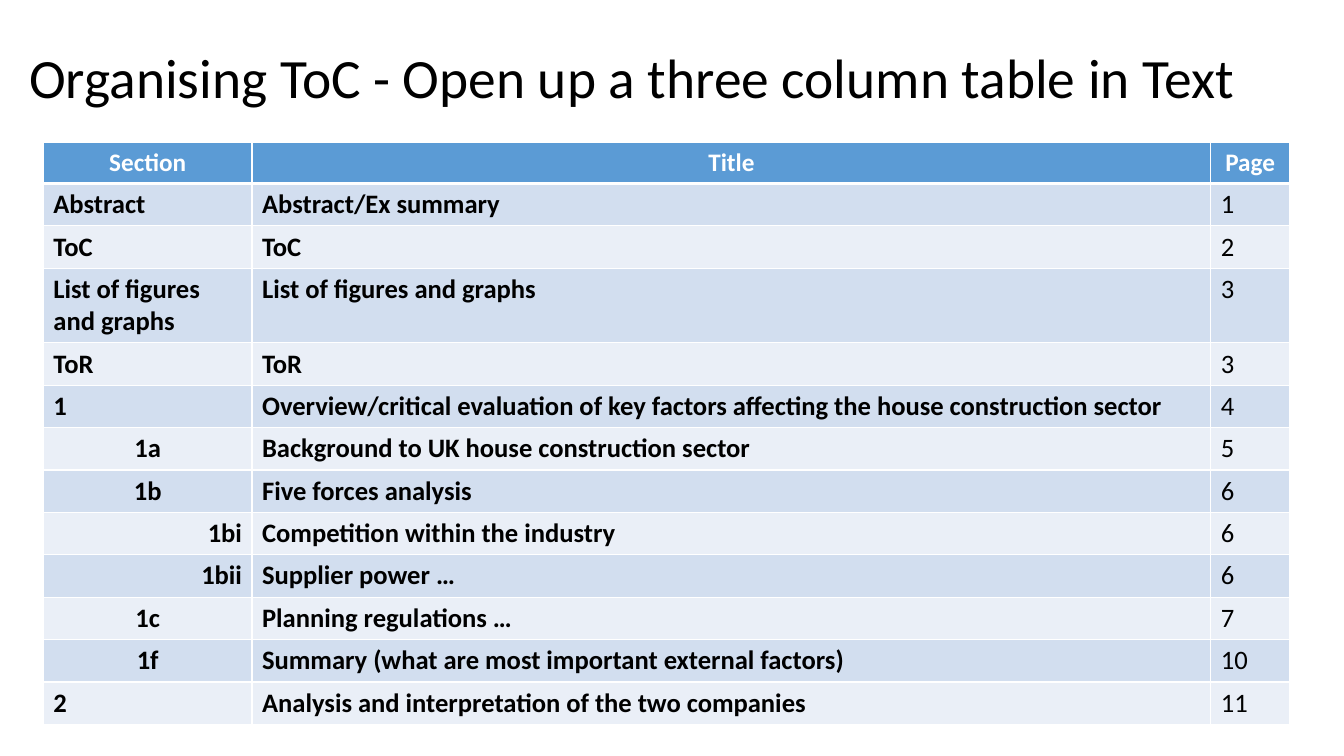
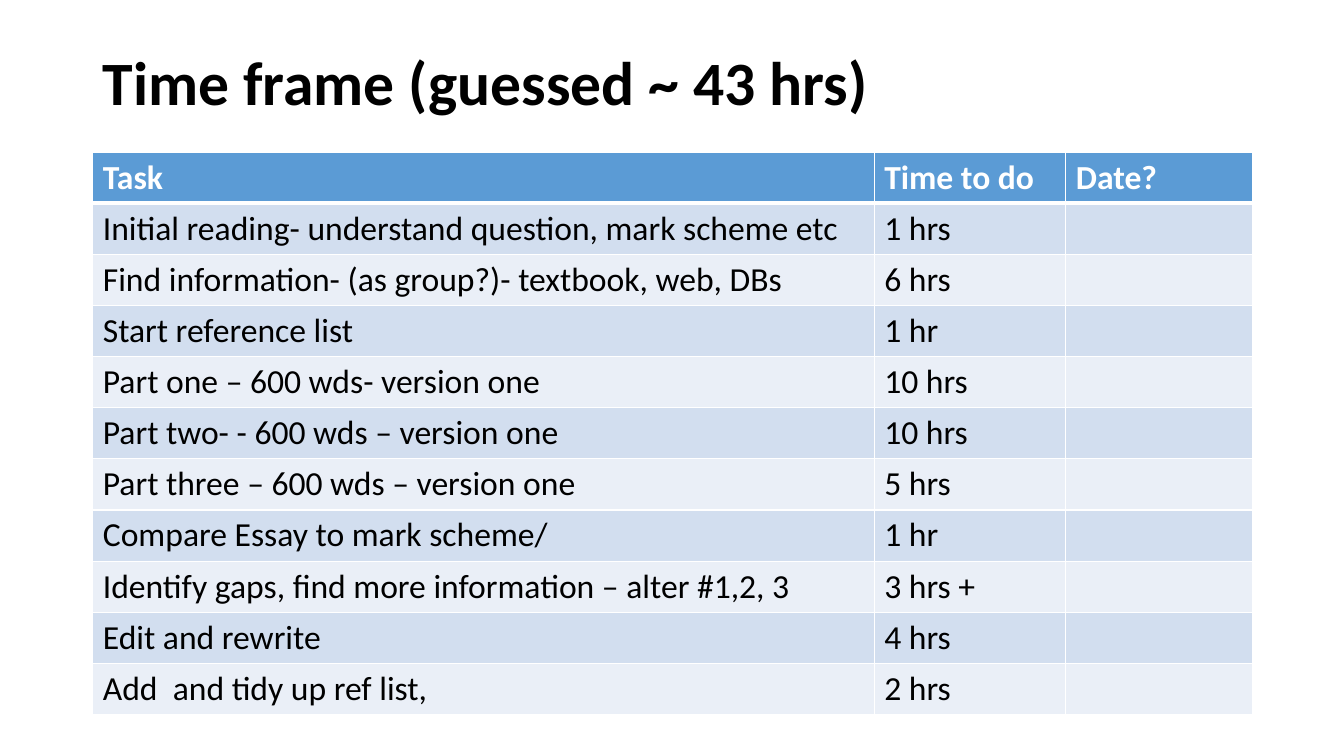
from lxml.etree import SubElement
from pptx import Presentation
from pptx.dml.color import RGBColor
from pptx.enum.text import MSO_ANCHOR, MSO_AUTO_SIZE, PP_ALIGN
from pptx.oxml import parse_xml
from pptx.oxml.ns import nsdecls, qn
from pptx.util import Emu, Pt

SECTIONS = [
    ("Section", "Title", "Page"),
    ("Abstract", "Abstract/Ex summary", "1"),
    ("ToC", "ToC", "2"),
    ("List of figures and graphs", "List of figures and graphs", "3"),
    ("ToR", "ToR", "3"),
    ("1", "Overview/critical evaluation of key factors affecting the house construction sector", "4"),
    ("1a", "Background to UK house construction sector", "5"),
    ("1b", "Five forces analysis", "6"),
    ("1bi", "Competition within the industry", "6"),
    ("1bii", "Supplier power …", "6"),
    ("1c", "Planning regulations …", "7"),
    ("1f", "Summary (what are most important external factors)", "10"),
    ("2", "Analysis and interpretation of the two companies", "11"),
]

TASKS = [
    ("Task", "Time to do", "Date?"),
    ("Initial reading- understand question, mark scheme etc", "1 hrs", ""),
    ("Find information- (as group?)- textbook, web, DBs", "6 hrs", ""),
    ("Start reference list", "1 hr", ""),
    ("Part one – 600 wds- version one", "10 hrs", ""),
    ("Part two- - 600 wds – version one", "10 hrs", ""),
    ("Part three – 600 wds – version one", "5 hrs", ""),
    ("Compare Essay to mark scheme/", "1 hr", ""),
    ("Identify gaps, find more information – alter #1,2, 3", "3 hrs +", ""),
    ("Edit and rewrite", "4 hrs", ""),
    ("Add  and tidy up ref list,", "2 hrs", ""),
]


def px(length):
    """Turn px, 100 to the inch, into EMU."""
    return Emu(length * 9144)


def color(value):
    """Turn a hex string into a colour."""
    return RGBColor.from_string(value)


def section_align(code):
    """Align numbered sections by their depth."""
    if not code[0].isdigit() or len(code) == 1:
        return PP_ALIGN.LEFT
    return PP_ALIGN.CENTER if len(code) == 2 else PP_ALIGN.RIGHT


class Deck:
    """Hold the style and the current slide."""

    FONT = "Calibri"
    INK = "000000"
    WHITE = "FFFFFF"
    HEADER = "5B9BD5"
    BANDS = ("EAEFF7", "D2DEEF")

    def __init__(self):
        """Start an empty wide presentation."""
        self.presentation = Presentation()
        self.presentation.slide_width = px(1333)
        self.presentation.slide_height = px(750)
        self.page = None

    def style(self, para, size, ink, bold, align):
        """Format a whole paragraph."""
        para.alignment = align
        para.font.name = self.FONT
        para.font.size = Pt(size)
        para.font.bold = bold
        para.font.color.rgb = color(ink)

    def add_page(self, title, left, top, width, height, size, bold=False, bottom=5):
        """Add a slide with a formatted title."""
        self.page = self.presentation.slides.add_slide(self.presentation.slide_layouts[5])
        box = self.page.shapes.title
        box.left, box.top, box.width, box.height = map(px, (left, top, width, height))
        frame = box.text_frame
        frame.text = title
        frame.word_wrap = True
        frame.auto_size = MSO_AUTO_SIZE.NONE
        frame.vertical_anchor = MSO_ANCHOR.MIDDLE
        frame.margin_bottom = px(bottom)
        para = frame.paragraphs[0]
        para.line_spacing = 0.9
        self.style(para, size, self.INK, bold, PP_ALIGN.LEFT)

    def add_borders(self, cell, top, bottom):
        """Draw white cell borders, with top and bottom widths in points."""
        properties = cell._tc.get_or_add_tcPr()
        for index, (side, width) in enumerate((("L", 1), ("R", 1), ("T", top), ("B", bottom))):
            line = parse_xml(f'<a:ln{side} {nsdecls("a")} w="{Pt(width)}"/>')
            fill = SubElement(line, qn("a:solidFill"))
            SubElement(fill, qn("a:srgbClr"), val=self.WHITE)
            properties.insert(index, line)

    def add_table(self, rows, left, top, widths, row_height, size, header_size,
                  header_align=PP_ALIGN.LEFT, bold_columns=(), first_align=None):
        """Add a banded table with a header row."""
        shape = self.page.shapes.add_table(
            len(rows), len(widths), px(left), px(top), px(sum(widths)), px(row_height * len(rows)))
        table = shape.table
        for column, width in zip(table.columns, widths):
            column.width = px(width)
        for row, texts in enumerate(rows):
            table.rows[row].height = px(row_height)
            for column, text in enumerate(texts):
                cell = table.cell(row, column)
                cell.text = text
                cell.fill.solid()
                cell.fill.fore_color.rgb = color(self.BANDS[row % 2] if row else self.HEADER)
                self.add_borders(cell, 3 if row == 1 else 1, 1 if row else 3)
                para = cell.text_frame.paragraphs[0]
                if row == 0:
                    self.style(para, header_size, self.WHITE, True, header_align)
                else:
                    align = first_align(text) if first_align and column == 0 else PP_ALIGN.LEFT
                    self.style(para, size, self.INK, column in bold_columns, align)


def main():
    """Build both slides and save them."""
    deck = Deck()
    deck.add_page("Organising ToC - Open up a three column table in Text",
                  19, 40, 1284, 145, 39.6, bottom=70)
    deck.add_table(SECTIONS, 43, 141, (207, 951, 78), 41, 19, 18,
                   PP_ALIGN.CENTER, (0, 1), section_align)
    deck.add_page("Time frame (guessed ~ 43 hrs)", 92, 40, 1150, 89, 44, bold=True)
    deck.add_table(TASKS, 92, 151, (775, 190, 185), 50, 24, 24)
    deck.presentation.save("out.pptx")


if __name__ == "__main__":
    main()
